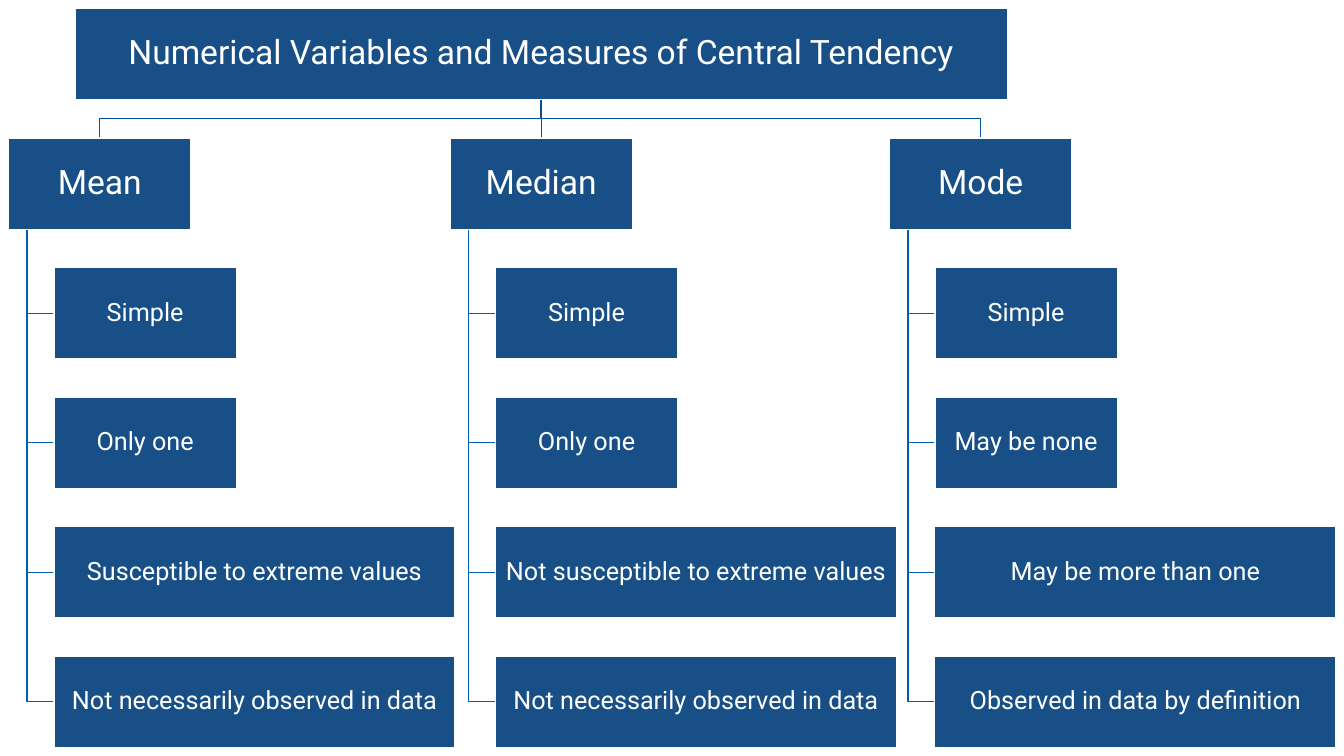
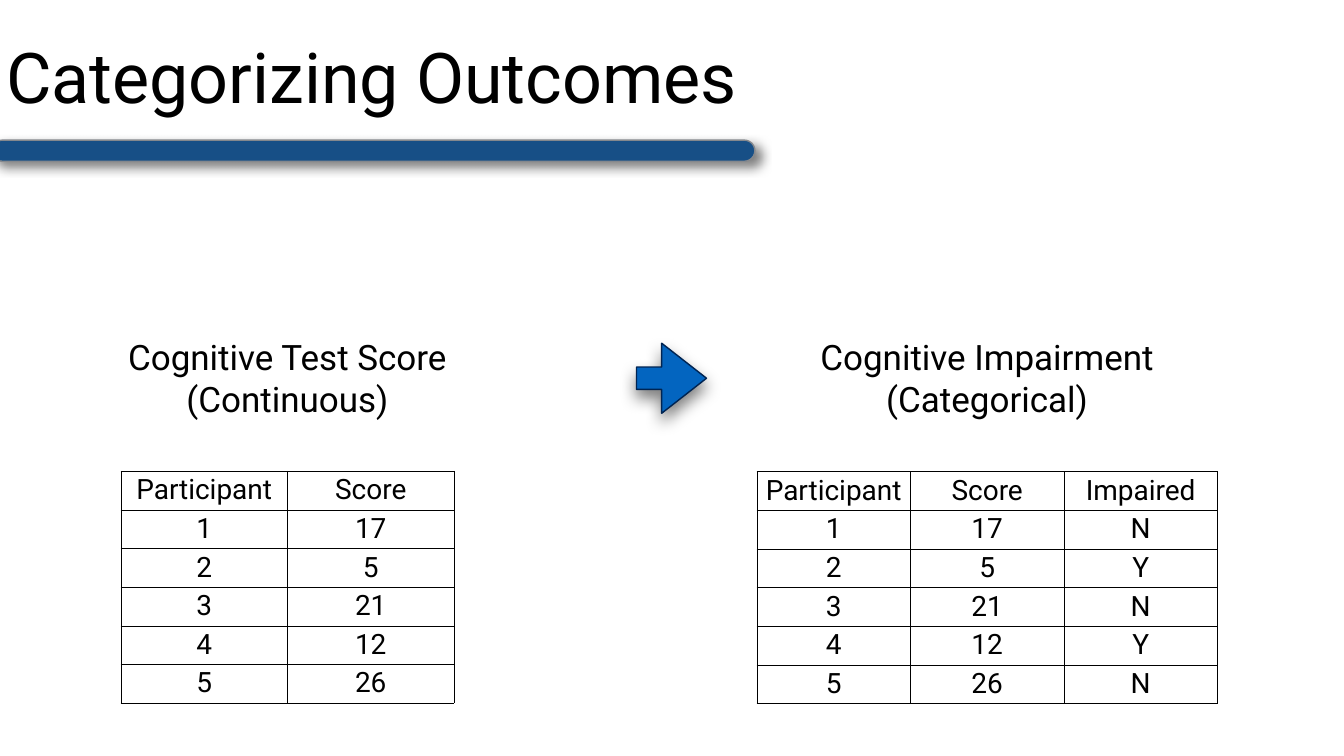
"""Build two slides: a tree of central tendency measures and a slide on categorizing outcomes."""
from lxml import etree
from pptx import Presentation
from pptx.dml.color import RGBColor
from pptx.enum.shapes import MSO_CONNECTOR as Connector, MSO_SHAPE as Shape
from pptx.enum.text import MSO_ANCHOR as Anchor, PP_ALIGN as Align
from pptx.oxml.ns import qn
from pptx.util import Inches, Pt

FONT = "Roboto"
NAVY, BLUE, WHITE, BLACK = "174F86", "0365C0", "FFFFFF", "000000"
TRUNK, BRANCH = "02519A", "035CAE"
BAR_EDGE, ARROW_EDGE = "85888D", "002452"

TREE_TITLE = "Numerical Variables and Measures of Central Tendency"
MEASURES = [
    ("Mean", 0.17, ["Simple", "Only one", "Susceptible to extreme values",
                    "Not necessarily observed in data"]),
    ("Median", 8.93, ["Simple", "Only one", "Not susceptible to extreme values",
                      "Not necessarily observed in data"]),
    ("Mode", 17.65, ["Simple", "May be none", "May be more than one",
                     "Observed in data by definition"]),
]
ROOT_LEFT, ROOT_TOP, ROOT_WIDTH = 1.49, 0.16, 18.5
BOX_HEIGHT, ROW_STEP, HEADER_TOP = 1.81, 2.57, 2.74
LEAF_WIDTHS = [3.62, 3.62, 7.96, 7.96]
HEADER_WIDTH, LEAF_INDENT, STEM_INDENT = 3.62, 0.9, 0.37

OUTCOME_TITLE = "Categorizing Outcomes"
CAPTIONS = [
    (["Cognitive Test Score", "(Continuous)"], (2.4, 6.6, 6.61, 1.8)),
    (["Cognitive Impairment", "(Categorical)"], (16.09, 6.6, 7, 1.8)),
]
SCORE_ROWS = [
    ("Participant", "Score", "Impaired"),
    ("1", "17", "N"),
    ("2", "5", "Y"),
    ("3", "21", "N"),
    ("4", "12", "Y"),
    ("5", "26", "N"),
]
TABLES = [(2, (2.4, 9.35, 6.61, 4.6)), (3, (15.02, 9.36, 9.14, 4.6))]


def color(value):
    return RGBColor.from_string(value)


def inches(values):
    return [Inches(value) for value in values]


def write(frame, lines, size, text_color, align=Align.CENTER, spacing=None):
    frame.text = "\n".join(lines)
    for paragraph in frame.paragraphs:
        paragraph.alignment = align
        paragraph.line_spacing = spacing
        for run in paragraph.runs:
            run.font.name = FONT
            run.font.size = Pt(size)
            run.font.color.rgb = color(text_color)


def set_frame(frame, margin, anchor, wrap):
    frame.margin_left = frame.margin_right = Inches(margin)
    frame.margin_top = frame.margin_bottom = Inches(margin)
    frame.vertical_anchor = anchor
    frame.word_wrap = wrap


def add_filled(slide, kind, box, fill, edge=None):
    shape = slide.shapes.add_shape(kind, *inches(box))
    shape.shadow.inherit = False
    shape.fill.solid()
    shape.fill.fore_color.rgb = color(fill)
    if edge:
        shape.line.color.rgb = color(edge)
        shape.line.width = Pt(2)
    else:
        shape.line.fill.background()
    return shape


def add_shadow(shape, blur, distance, angle):
    effects = shape._element.spPr.find(qn("a:effectLst"))
    shadow = etree.SubElement(effects, qn("a:outerShdw"), blurRad=str(Pt(blur)),
                              dist=str(Pt(distance)), dir=str(angle * 60000),
                              rotWithShape="0")
    shade = etree.SubElement(shadow, qn("a:srgbClr"), val=BLACK)
    etree.SubElement(shade, qn("a:alpha"), val="50000")


def add_elbow(slide, points, line_color):
    start, *rest = [inches(point) for point in points]
    builder = slide.shapes.build_freeform(*start, scale=1.0)
    builder.add_line_segments(rest, close=False)
    elbow = builder.convert_to_shape()
    elbow.shadow.inherit = False
    elbow.fill.background()
    elbow.line.color.rgb = color(line_color)
    elbow.line.width = Pt(2)


def add_straight(slide, start, end, line_color):
    line = slide.shapes.add_connector(Connector.STRAIGHT, *inches(start + end))
    line.line.color.rgb = color(line_color)
    line.line.width = Pt(2)
    etree.SubElement(line._element.spPr, qn("a:effectLst"))
    return line


def add_node(slide, text, left, top, width, size):
    node = add_filled(slide, Shape.RECTANGLE, (left, top, width, BOX_HEIGHT), NAVY, WHITE)
    set_frame(node.text_frame, 0.03, Anchor.MIDDLE, True)
    write(node.text_frame, [text], size, WHITE, spacing=0.9)
    return node


def add_table(slide, column_count, box):
    shape = slide.shapes.add_table(len(SCORE_ROWS), column_count, *inches(box))
    table = shape.table
    table.first_row = table.horz_banding = False
    for row, values in enumerate(SCORE_ROWS):
        for column, value in enumerate(values[:column_count]):
            cell = table.cell(row, column)
            properties = cell._tc.get_or_add_tcPr()
            for side in ("lnL", "lnR", "lnT", "lnB"):
                border = etree.SubElement(properties, qn(f"a:{side}"), w=str(Pt(1)))
                fill = etree.SubElement(border, qn("a:solidFill"))
                etree.SubElement(fill, qn("a:srgbClr"), val=BLACK)
            cell.fill.background()
            write(cell.text_frame, [value], 40, BLACK)


def build_tree(slide):
    root_center = ROOT_LEFT + ROOT_WIDTH / 2
    root_bottom = ROOT_TOP + BOX_HEIGHT
    header_bottom = HEADER_TOP + BOX_HEIGHT
    fork = (root_bottom + HEADER_TOP) / 2
    leaf_tops = [HEADER_TOP + ROW_STEP * (index + 1) for index in range(len(LEAF_WIDTHS))]
    straight = add_straight(slide, (root_center, root_bottom), (root_center, HEADER_TOP), TRUNK)
    for name, left, leaves in MEASURES:
        center = left + HEADER_WIDTH / 2
        stem = left + STEM_INDENT
        if name != "Median":
            add_elbow(slide, [(root_center, root_bottom), (root_center, fork),
                              (center, fork), (center, HEADER_TOP)], TRUNK)
        for top in leaf_tops:
            middle = top + BOX_HEIGHT / 2
            add_elbow(slide, [(stem, header_bottom), (stem, middle),
                              (left + LEAF_INDENT, middle)], BRANCH)
    root = add_node(slide, TREE_TITLE, ROOT_LEFT, ROOT_TOP, ROOT_WIDTH, 48)
    straight.begin_connect(root, 2)
    for name, left, leaves in MEASURES:
        header = add_node(slide, name, left, HEADER_TOP, HEADER_WIDTH, 48)
        if name == "Median":
            straight.end_connect(header, 0)
        for text, top, width in zip(leaves, leaf_tops, LEAF_WIDTHS):
            add_node(slide, text, left + LEAF_INDENT, top, width, 36)


def build_outcomes(slide):
    title = add_filled(slide, Shape.RECTANGLE, (0.06, 0.61, 15, 1.8), WHITE)
    set_frame(title.text_frame, 0.06, Anchor.TOP, False)
    write(title.text_frame, [OUTCOME_TITLE], 100, BLACK, Align.LEFT)
    bar = add_filled(slide, Shape.ROUNDED_RECTANGLE, (-0.16, 2.78, 15.14, 0.42), NAVY, BAR_EDGE)
    bar.adjustments[0] = 0.5
    add_shadow(bar, 15, 10, 45)
    for lines, box in CAPTIONS:
        caption = slide.shapes.add_textbox(*inches(box))
        set_frame(caption.text_frame, 0.06, Anchor.MIDDLE, False)
        write(caption.text_frame, lines, 50, BLACK)
    arrow = add_filled(slide, Shape.RIGHT_ARROW, (12.63, 6.81, 1.39, 1.39), BLUE, ARROW_EDGE)
    arrow.adjustments[0], arrow.adjustments[1] = 0.32, 0.64
    add_shadow(arrow, 23, 12.2, 90)
    for column_count, box in TABLES:
        add_table(slide, column_count, box)


def main():
    presentation = Presentation()
    presentation.slide_width, presentation.slide_height = inches((26.67, 15))
    for build in (build_tree, build_outcomes):
        build(presentation.slides.add_slide(presentation.slide_layouts[6]))
    presentation.save("out.pptx")


if __name__ == "__main__":
    main()
